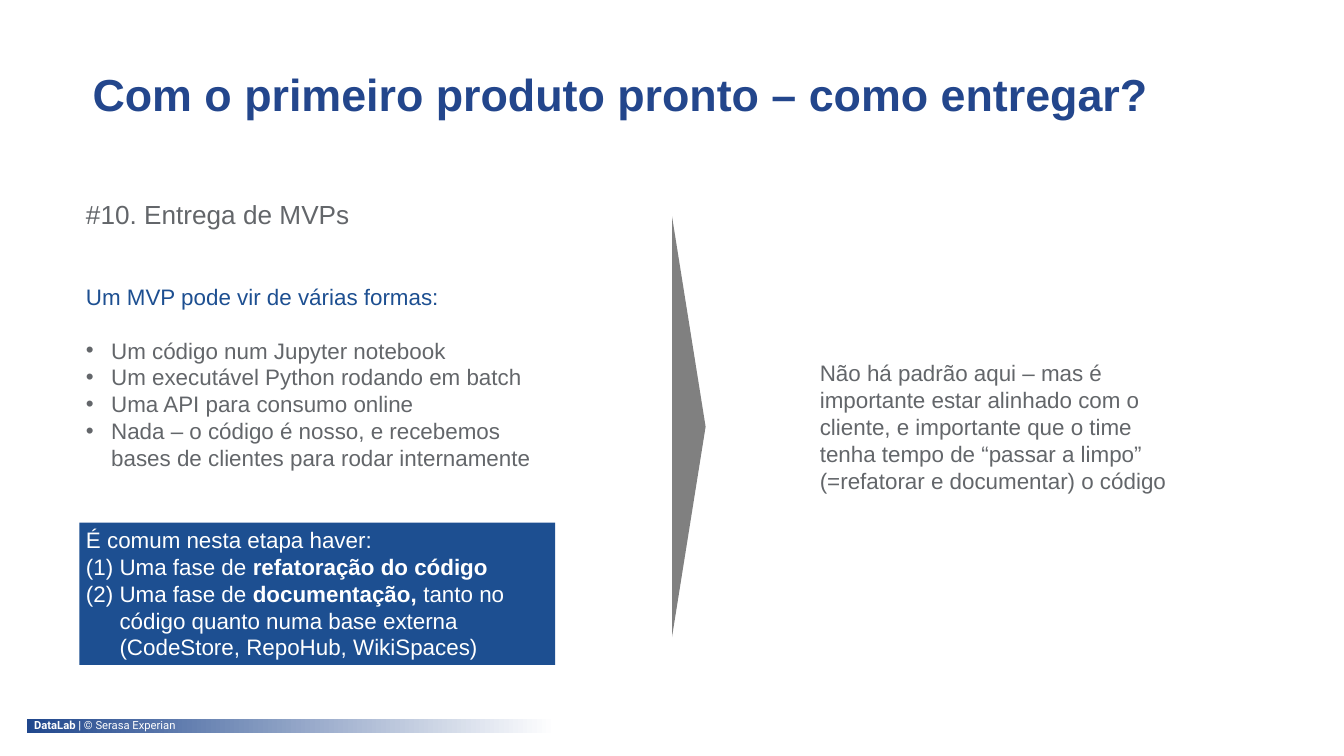
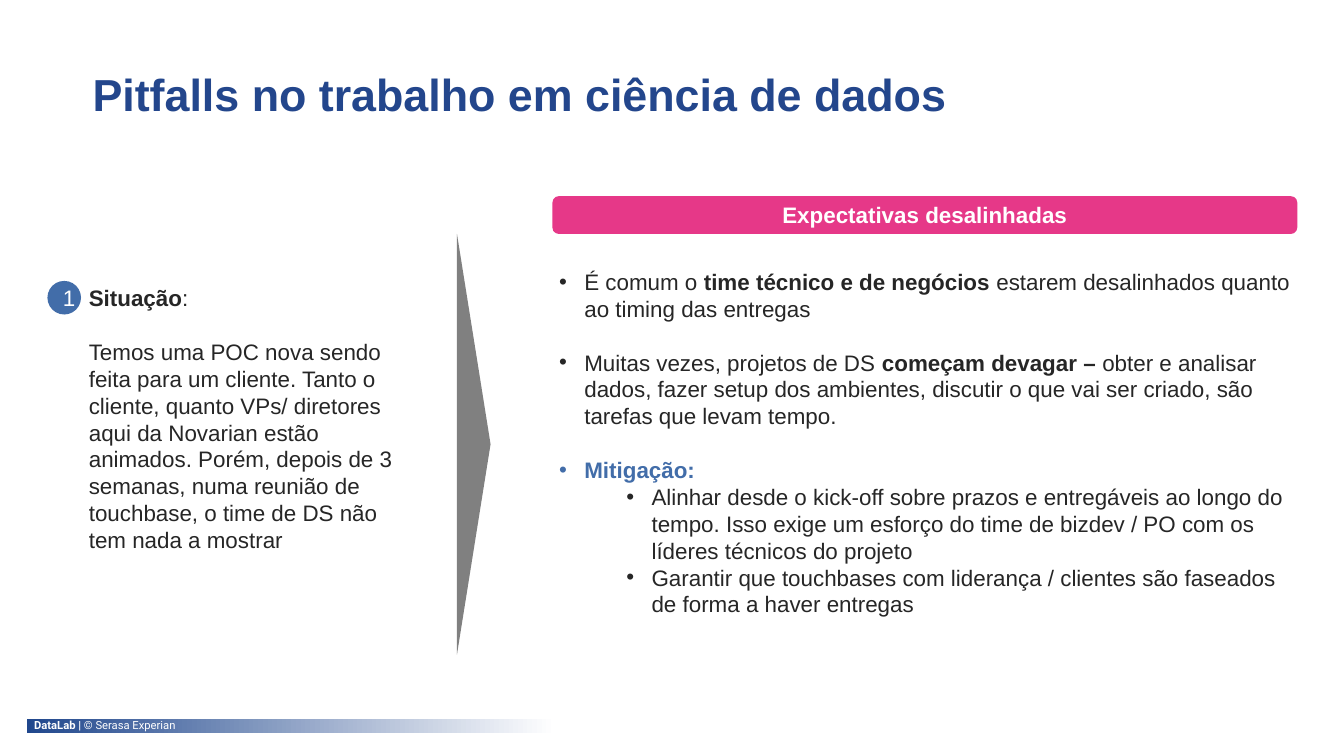
from dataclasses import dataclass
from typing import Optional

from lxml import etree
from pptx import Presentation
from pptx.dml.color import RGBColor
from pptx.enum import shapes, text
from pptx.oxml import ns
from pptx.util import Pt


# Theme
@dataclass(frozen=True)
class Theme:
    navy: str = "23468C"
    band: str = "20478D"
    blue: str = "1D4F91"
    soft: str = "426DA9"
    pink: str = "E63888"
    gray: str = "63666A"
    steel: str = "808080"
    ink: str = "262626"
    white: str = "FFFFFF"
    font: str = "Arial"
    small: str = "Roboto"
    title: float = 24
    head: float = 14
    body: float = 12
    foot: float = 6
    gap: float = 14.4  # one body line


T = Theme()
KIND = shapes.MSO_SHAPE
LEFT = 42.5  # shared left edge
WIDE = (7.2, 3.6)  # side and top insets
TIGHT = (3.6, 1.8)


@dataclass(frozen=True)
class Para:
    """Text between double asterisks is bold."""
    text: str
    color: str = T.ink
    size: float = T.body
    mark: str = ""  # bullet sign, or "#" for numbers in brackets
    level: int = 0
    hang: float = 13.5
    gap: float = 0
    center: bool = False
    line: Optional[float] = None
    font: str = T.font


@dataclass(frozen=True)
class Box:
    left: float
    top: float
    width: float
    height: float
    paras: tuple = ()
    kind: Optional[int] = None  # None means a text box
    fill: str = ""
    inset: tuple = TIGHT
    grow: bool = True
    turn: float = 0


# Drawing
def set_mark(para, item: Para) -> None:
    props = para._p.get_or_add_pPr()
    props.set("marL", str(Pt(item.hang + 36 * item.level)))
    props.set("indent", str(-Pt(item.hang)))
    if item.mark == "#":
        etree.SubElement(props, ns.qn("a:buFont"), typeface="+mj-lt")
        etree.SubElement(props, ns.qn("a:buAutoNum"), type="arabicParenBoth")
    else:
        etree.SubElement(props, ns.qn("a:buFont"), typeface=T.font)
        etree.SubElement(props, ns.qn("a:buChar"), char=item.mark)


def put_para(para, item: Para) -> None:
    para.level = item.level
    if item.mark:
        set_mark(para, item)
    para.alignment = text.PP_ALIGN.CENTER if item.center else text.PP_ALIGN.LEFT
    if item.gap:
        para.space_before = Pt(item.gap)
    if item.line:
        para.line_spacing = item.line
    for i, part in enumerate(item.text.split("**")):
        if part:
            run = para.add_run()
            run.text = part
            font = run.font
            font.name, font.size, font.bold = item.font, Pt(item.size), i % 2 == 1
            font.color.rgb = RGBColor.from_string(item.color)


def draw(slide, box: Box):
    area = [Pt(v) for v in (box.left, box.top, box.width, box.height)]
    if box.kind is None:
        shape = slide.shapes.add_textbox(*area)
    else:
        shape = slide.shapes.add_shape(box.kind, *area)
        shape.shadow.inherit = False
        shape.line.fill.background()
        shape.fill.solid()
        shape.fill.fore_color.rgb = RGBColor.from_string(box.fill)
        shape.rotation = box.turn
    if box.paras:
        frame = shape.text_frame
        frame.word_wrap = True
        frame.margin_left = frame.margin_right = Pt(box.inset[0])
        frame.margin_top = frame.margin_bottom = Pt(box.inset[1])
        middle = box.kind == KIND.OVAL
        frame.vertical_anchor = text.MSO_ANCHOR.MIDDLE if middle else text.MSO_ANCHOR.TOP
        size = text.MSO_AUTO_SIZE
        frame.auto_size = size.SHAPE_TO_FIT_TEXT if box.grow else size.NONE
        for i, item in enumerate(box.paras):
            put_para(frame.add_paragraph() if i else frame.paragraphs[0], item)
    return shape


def arrow(mid_x: float, mid_y: float) -> Box:
    long, thick = 225.4, 18
    return Box(mid_x - long / 2, mid_y - thick / 2, long, thick,
               kind=KIND.ISOSCELES_TRIANGLE, fill=T.steel, turn=90)


def add_slide(deck, title: str, boxes: list[Box]) -> None:
    slide = deck.slides.add_slide(deck.slide_layouts[6])
    # Footer band and credit
    band = draw(slide, Box(14.2, 385.2, 283.6, 7.5, kind=KIND.RECTANGLE, fill=T.band))
    band.fill.gradient()
    band.fill.gradient_angle = 0
    for stop, color in zip(band.fill.gradient_stops, (T.band, T.white)):
        stop.color.rgb = RGBColor.from_string(color)
    credit = Para("**DataLab | **© Serasa Experian", T.white, T.foot,
                  line=0.9, font=T.small)
    draw(slide, Box(11.2, 382.3, 205.2, 13.7, (credit,), inset=WIDE))
    # Title and content
    head = Para(f"**{title}**", T.navy, T.title, line=Pt(23))
    draw(slide, Box(LEFT, 38.2, 635, 31, (head,), inset=WIDE, grow=False))
    for box in boxes:
        draw(slide, box)


# Slide 1: delivery
FORMS = (
    "Um código num Jupyter notebook",
    "Um executável Python rodando em batch",
    "Uma API para consumo online",
    "Nada – o código é nosso, e recebemos bases de clientes para rodar internamente",
)
PHASES = (
    "Uma fase de **refatoração do código**",
    "Uma fase de **documentação, **tanto no código quanto numa base externa "
    "(CodeStore, RepoHub, WikiSpaces)",
)
DELIVERY = [
    Box(LEFT, 104.4, 626.4, 20.2, (Para("#10. Entrega de MVPs", T.gray, T.head),)),
    Box(LEFT, 149.8, 255, 105, (
        Para("Um MVP pode vir de várias formas:", T.blue),
        *(Para(form, T.gray, mark="•", gap=0 if i else T.gap)
          for i, form in enumerate(FORMS)),
    )),
    arrow(369, 228.6),
    Box(435.6, 190.8, 198, 76.3, (Para(
        "Não há padrão aqui – mas é importante estar alinhado com o cliente, "
        "e importante que o time tenha tempo de “passar a limpo” "
        "(=refatorar e documentar) o código", T.gray),)),
    Box(LEFT, 280, 255, 76.3, (
        Para("É comum nesta etapa haver:", T.white),
        *(Para(phase, T.white, mark="#", hang=18) for phase in PHASES),
    ), KIND.RECTANGLE, T.blue),
]

# Slide 2: pitfalls
PITFALLS = [
    Box(296, 105.1, 399, 20.2,
        (Para("**Expectativas desalinhadas**", T.white, center=True),),
        KIND.ROUNDED_RECTANGLE, T.pink),
    Box(25.4, 150.5, 18, 18, (Para("1", T.white, center=True),),
        KIND.OVAL, T.soft, WIDE, grow=False),
    Box(44, 150.5, 181.4, 149, (
        Para("**Situação**:"),
        Para("Temos uma POC nova sendo feita para um cliente. Tanto o cliente, "
             "quanto VPs/ diretores aqui da Novarian estão animados. Porém, "
             "depois de 3 semanas, numa reunião de touchbase, o time de DS "
             "não tem nada a mostrar", gap=T.gap),
    )),
    arrow(253.8, 238),
    Box(296, 141.8, 399, 192.2, (
        Para("É comum o **time técnico e de negócios **estarem desalinhados "
             "quanto ao timing das entregas", mark="•"),
        Para("Muitas vezes, projetos de DS **começam devagar – **obter e "
             "analisar dados, fazer setup dos ambientes, discutir o que vai "
             "ser criado, são tarefas que levam tempo.", mark="•", gap=T.gap),
        Para("**Mitigação:**", T.soft, mark="•", gap=T.gap),
        Para("Alinhar desde o kick-off sobre prazos e entregáveis ao longo do "
             "tempo. Isso exige um esforço do time de bizdev / PO com os "
             "líderes técnicos do projeto", mark="•", level=1),
        Para("Garantir que touchbases com liderança / clientes são faseados "
             "de forma a haver entregas", mark="•", level=1),
    )),
]


def main() -> None:
    deck = Presentation()
    deck.slide_width, deck.slide_height = Pt(720), Pt(405)
    add_slide(deck, "Com o primeiro produto pronto – como entregar?", DELIVERY)
    add_slide(deck, "Pitfalls no trabalho em ciência de dados", PITFALLS)
    deck.save("out.pptx")


if __name__ == "__main__":
    main()
